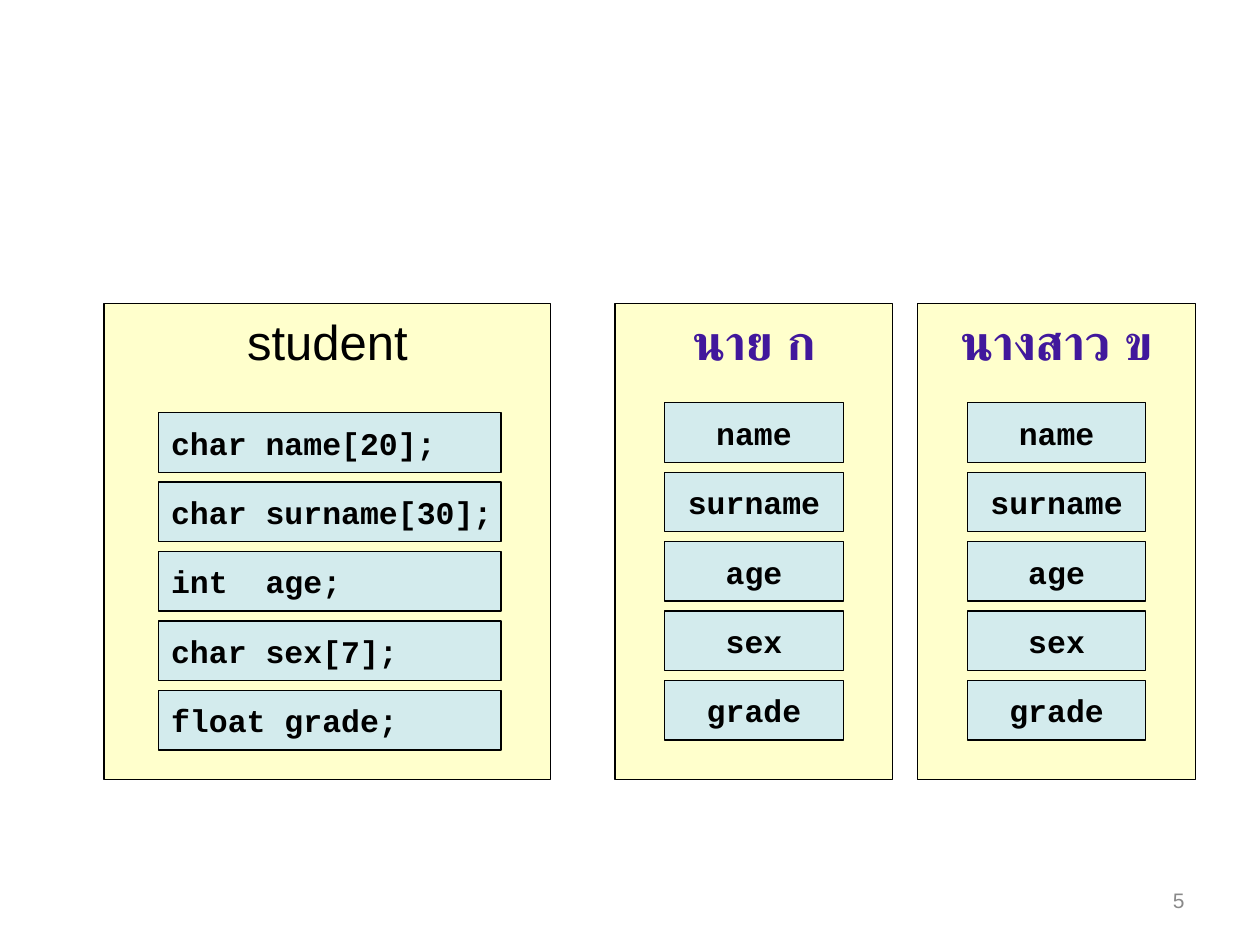
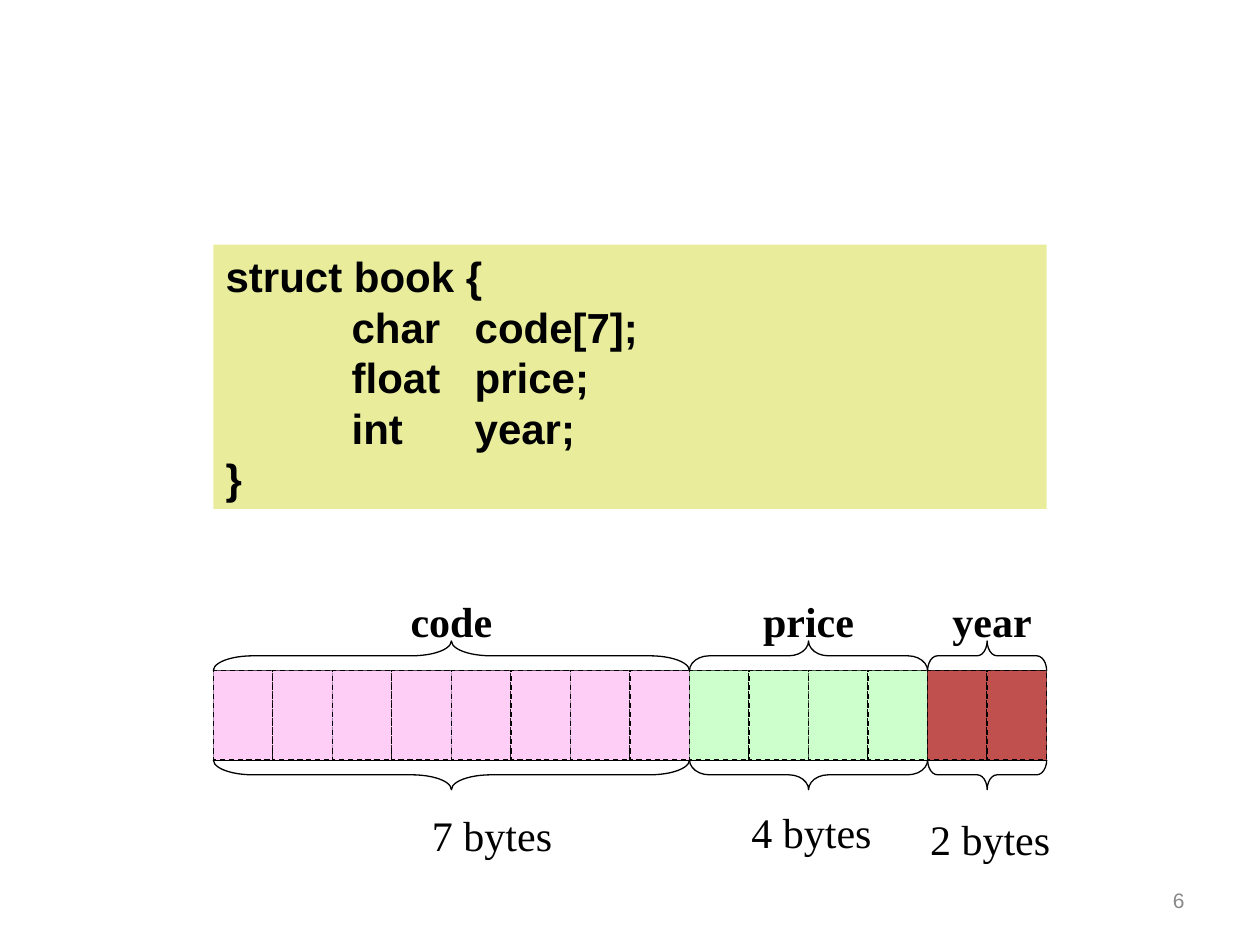
from lxml import etree
from pptx import Presentation
from pptx.dml.color import RGBColor
from pptx.enum.dml import MSO_LINE
from pptx.enum.shapes import MSO_SHAPE
from pptx.enum.text import MSO_ANCHOR, PP_ALIGN
from pptx.oxml.ns import qn
from pptx.util import Cm, Pt

RECTANGLE, BRACE = MSO_SHAPE.RECTANGLE, MSO_SHAPE.RIGHT_BRACE
LEFT, CENTER, RIGHT = PP_ALIGN.LEFT, PP_ALIGN.CENTER, PP_ALIGN.RIGHT
TOP, MIDDLE = MSO_ANCHOR.TOP, MSO_ANCHOR.MIDDLE
DASH = MSO_LINE.DASH
SANS, MONO, SERIF = "Arial", "Courier New", "Times New Roman"
COLORS = {
    "ink": "000000",
    "page_number": "898989",
    "record": "FFFFCC",
    "field": "D3EBED",
    "person": "41189C",
    "code_block": "E9ED9B",
    "code": "FECEF6",
    "price": "CCFFCC",
    "year": "C0504D",
}
FIELD_HEIGHT, FIELD_PITCH = 1.2, 1.4
BYTE_WIDTH, BYTE_HEIGHT = 1.2, 1.8
BRACE_DEPTH = 0.6


def rgb(name):
    return RGBColor.from_string(COLORS[name])


def write(shape, text, size=18, font=SANS, color="ink", bold=False,
          align=LEFT, anchor=TOP, wrap=False, top=0.13, tabs=()):
    frame = shape.text_frame
    frame.word_wrap = wrap
    frame.vertical_anchor = anchor
    frame.margin_left = frame.margin_right = Cm(0.25)
    frame.margin_top, frame.margin_bottom = Cm(top), Cm(0.13)
    frame.text = text
    for paragraph in frame.paragraphs:
        paragraph.alignment = align
        paragraph.font.size = Pt(size)
        for run in paragraph.runs:
            run.font.name = font
            run.font.size = Pt(size)
            run.font.bold = bold
            run.font.color.rgb = rgb(color)
        if tabs:
            stops = etree.Element(qn("a:tabLst"))
            for stop in tabs:
                etree.SubElement(stops, qn("a:tab"), pos=str(Cm(stop)), algn="l")
            paragraph.font._element.addprevious(stops)


def add_label(slide, text, x, y, w, h, **style):
    write(slide.shapes.add_textbox(Cm(x), Cm(y), Cm(w), Cm(h)), text, **style)


def add_block(slide, x, y, w, h, fill=None, line=True, dash=None, kind=RECTANGLE):
    block = slide.shapes.add_shape(kind, Cm(x), Cm(y), Cm(w), Cm(h))
    block.shadow.inherit = False
    if fill:
        block.fill.solid()
        block.fill.fore_color.rgb = rgb(fill)
    else:
        block.fill.background()
    if line:
        block.line.color.rgb = rgb("ink")
        block.line.width = Pt(0.75)
        block.line.dash_style = dash
    else:
        block.line.fill.background()
    return block


def add_slide(deck, number):
    slide = deck.slides.add_slide(deck.slide_layouts[6])
    add_label(slide, str(number), 18.2, 17.65, 5.93, 1.01, size=12,
              color="page_number", align=RIGHT, anchor=MIDDLE, wrap=True)
    return slide


def add_record(slide, x, y, w, h, title, fields, inset, first, field_width,
               align=CENTER, **title_style):
    record = add_block(slide, x, y, w, h, "record")
    write(record, title, size=28, align=CENTER, top=0.16, **title_style)
    for row, declaration in enumerate(fields):
        field = add_block(slide, x + inset, y + first + row * FIELD_PITCH,
                          field_width, FIELD_HEIGHT, "field")
        write(field, declaration, font=MONO, bold=True, align=align, anchor=MIDDLE)


def add_brace(slide, x, y, w, rotation):
    brace = add_block(slide, x + (w - BRACE_DEPTH) / 2, y + (BRACE_DEPTH - w) / 2,
                      BRACE_DEPTH, w, kind=BRACE)
    brace.rotation = rotation
    brace.adjustments[0] = w / 12 / BRACE_DEPTH


def add_memory_field(slide, x, y, name, cells, size_text, name_shift, size_shift, size_drop):
    width = cells * BYTE_WIDTH
    add_block(slide, x, y, width, BYTE_HEIGHT, name)
    for cell in range(cells):
        add_block(slide, x + cell * BYTE_WIDTH, y, BYTE_WIDTH, BYTE_HEIGHT, name, dash=DASH)
    add_brace(slide, x, y - BRACE_DEPTH, width, 270)
    add_brace(slide, x, y + BYTE_HEIGHT, width, 90)
    middle = x + width / 2
    label = dict(size=24, font=SERIF, align=CENTER)
    add_label(slide, name, middle - 1.5 + name_shift, y - 1.65, 3, 1.27, bold=True, **label)
    add_label(slide, size_text, middle - 1.5 + size_shift, y + size_drop, 3, 1.27, **label)


def build_records(deck):
    slide = add_slide(deck, 5)
    declarations = ["char name[20];", "char surname[30];", "int  age;",
                    "char sex[7];", "float grade;"]
    members = ["name", "surname", "age", "sex", "grade"]
    top, height = 6.12, 9.6
    add_record(slide, 2.1, top, 9, height, "student", declarations, 1.1, 2.2, 6.9, align=LEFT)
    for x, person in ((12.4, "นาย ก"), (18.5, "นางสาว ข")):
        add_record(slide, x, top, 5.6, height, person, members, 1, 2, 3.6,
                   color="person", bold=True)


def build_memory(deck):
    slide = add_slide(deck, 6)
    left, strip_top = 4.3, 13.52
    code_block = add_block(slide, left, 4.93, 16.8, 5.33, "code_block", line=False)
    struct = "struct book {\n\tchar\tcode[7];\n\tfloat\tprice;\n\tint\tyear;\n}"
    write(code_block, struct, size=24, bold=True, wrap=True, tabs=(2.54, 5.02))
    x = left
    for name, cells, size_text, *shifts in (
        ("code", 8, "7 bytes", 0, 0.82, 2.67),
        ("price", 4, "4 bytes", 0, 0.06, 2.61),
        ("year", 2, "2 bytes", 0.1, 0.06, 2.74),
    ):
        add_memory_field(slide, x, strip_top, name, cells, size_text, *shifts)
        x += cells * BYTE_WIDTH


def main():
    deck = Presentation()
    deck.slide_width, deck.slide_height = Cm(25.4), Cm(19.05)
    build_records(deck)
    build_memory(deck)
    deck.save("out.pptx")


if __name__ == "__main__":
    main()
